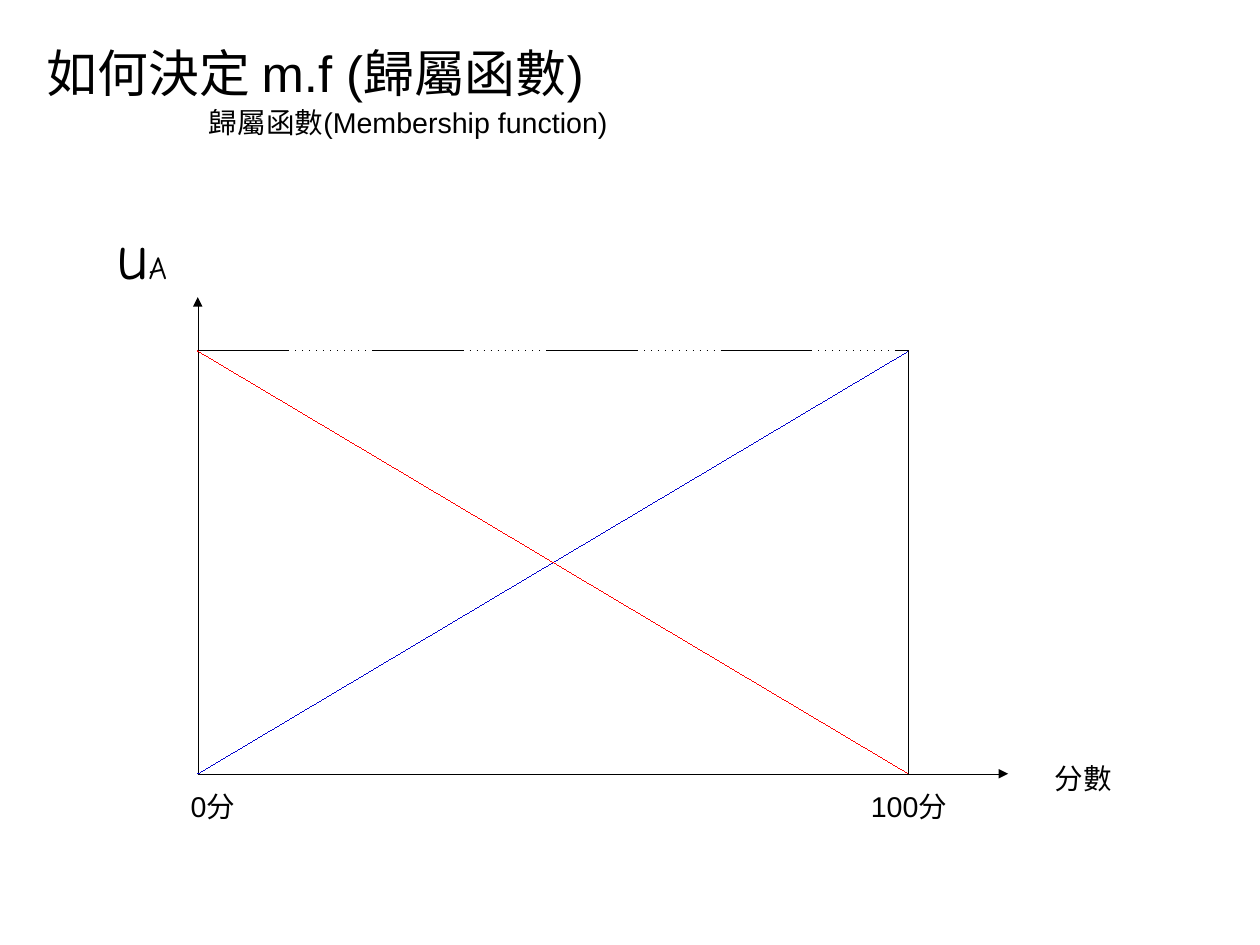
import pptx
import pptx.util
import pptx.dml.color
import pptx.enum.text
import pptx.enum.shapes
import pptx.oxml.ns
import lxml.etree

UNIT = pptx.util.Inches(0.1)
INK, BLUE, RED = "000000", "0000CC", "FF0000"
ALIGN = pptx.enum.text.PP_ALIGN
ANCHOR = pptx.enum.text.MSO_ANCHOR


def grid(*cells):
    return [round(cell * UNIT) for cell in cells]


def tint(code):
    return pptx.dml.color.RGBColor.from_string(code)


def add_node(parent, tag, **attrs):
    return lxml.etree.SubElement(parent, pptx.oxml.ns.qn(tag), attrs)


def ink(run, size, face):
    run.font.size = pptx.util.Pt(size)
    run.font.name = face
    run.font.color.rgb = tint(INK)


def style(shape, text, size, face="Arial", align=ALIGN.LEFT, anchor=ANCHOR.TOP):
    frame = shape.text_frame
    frame.text = text
    frame.word_wrap = True
    frame.auto_size = pptx.enum.text.MSO_AUTO_SIZE.SHAPE_TO_FIT_TEXT
    frame.vertical_anchor = anchor
    para = frame.paragraphs[0]
    para.alignment = align
    for run in para.runs:
        ink(run, size, face)
    return para


def label(slide, box, text, size, **look):
    return style(slide.shapes.add_textbox(*grid(*box)), text, size, **look)


def line(slide, start, end, color=INK, width=0, arrow=False, dash=None):
    kind = pptx.enum.shapes.MSO_CONNECTOR.STRAIGHT
    link = slide.shapes.add_connector(kind, *grid(*start, *end))
    link.line.color.rgb = tint(color)
    props = link._element.spPr.find(pptx.oxml.ns.qn("a:ln"))
    props.set("w", str(pptx.util.Pt(width)))
    if dash:
        stops = add_node(props, "a:custDash")
        for mark, gap in dash:
            add_node(stops, "a:ds", d=str(mark * 1000), sp=str(gap * 1000))
    if arrow:
        add_node(props, "a:tailEnd", type="triangle")
    add_node(link._element.spPr, "a:effectLst")


def head(slide, box):
    left, top, width, height = box
    title = slide.shapes.title
    title.left, title.top, title.width, title.height = grid(*box)
    style(title, "如何決定 m.f (歸屬函數)", 32)
    sub = (left + 14.2, top + 5.55, 37.8, 4.6)
    label(slide, sub, "歸屬函數(Membership function)", 18)


def graph(slide, box):
    left, top, width, height = box
    right, base = left + width, top + height
    zero, full = (left, base), (right, base)
    peak, crest = (left, top), (right, top)
    line(slide, zero, (left, top - 4.7), arrow=True)
    line(slide, zero, (right + 8.7, base), arrow=True)
    line(slide, zero, crest, BLUE)
    line(slide, peak, full, RED)
    line(slide, crest, full)
    line(slide, peak, crest, width=0.5, dash=[(11300, 760)] + [(100, 760)] * 11)

    label(slide, (right + 11.8, base - 1.6, 7.9, 4.6), "分數", 18)
    label(slide, (left - 1.6, base + 0.8, 7.9, 4.6), "0分", 18)
    label(slide, (right - 4.3, base + 0.8, 9.8, 4.6), "100分", 18)
    name = label(slide, (left - 9.8, top - 12.8, 9.8, 8.7), "u", 40,
                 face="Comic Neue", align=ALIGN.CENTER, anchor=ANCHOR.MIDDLE)
    mark = name.add_run()
    mark.text = "A"
    ink(mark, 20, "Comic Neue")


def main():
    deck = pptx.Presentation()
    deck.slide_width = pptx.util.Cm(28)
    deck.slide_height = pptx.util.Cm(21)
    size = deck.element.find(pptx.oxml.ns.qn("p:sldSz"))
    size.attrib.pop("type", None)
    slide = deck.slides.add_slide(deck.slide_layouts[5])
    head(slide, (3.1, 3.15, 54.3, 7.4))
    graph(slide, (17.3, 30.7, 62.2, 37))
    deck.save("out.pptx")


if __name__ == "__main__":
    main()
